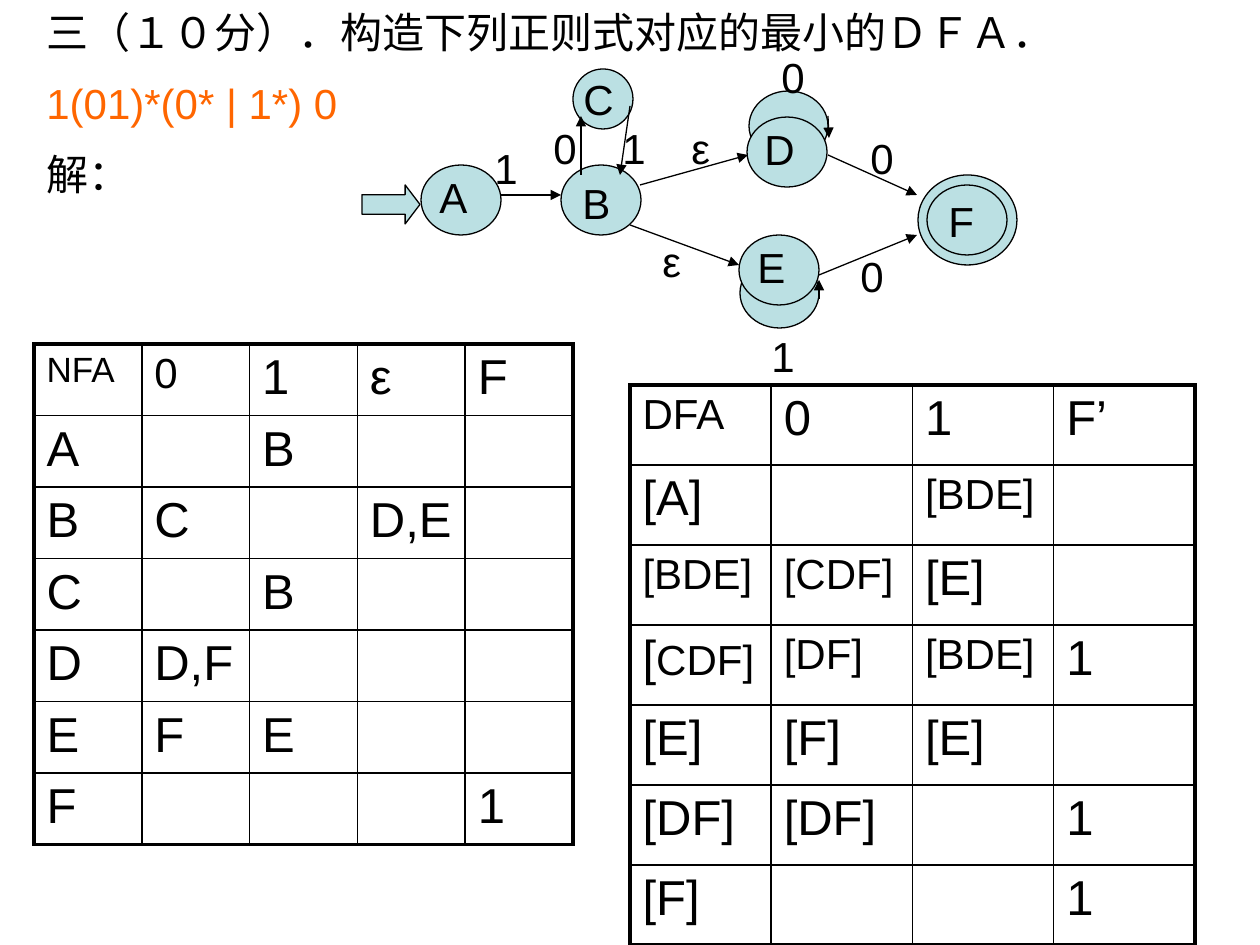
"""Build a slide that turns a regular expression into an NFA graph and its NFA and DFA tables."""
from lxml import etree
from pptx import Presentation
from pptx.dml.color import RGBColor
from pptx.enum.shapes import MSO_CONNECTOR, MSO_SHAPE
from pptx.oxml.ns import qn
from pptx.util import Emu, Pt

OVAL = MSO_SHAPE.OVAL
RIGHT_ARROW = MSO_SHAPE.RIGHT_ARROW
STRAIGHT = MSO_CONNECTOR.STRAIGHT

PX_PER_INCH = 126
FONT = "Arial"
BLACK, ORANGE, PALE_BLUE = "000000", "FF6600", "BBE0E3"
THIN, THICK = 1, 2.25

HEADING = [
    ("三（１０分）．构造下列正则式对应的最小的ＤＦＡ．", BLACK),
    ("1(01)*(0* | 1*) 0", ORANGE),
    ("解：", BLACK),
]

# Each cell is a list of (text, size) runs, or a plain string at the table's size.
NFA = {
    "box": (34, 344, 539, 500),
    "rows": [
        [[("NFA", 20)], [("0", 24)], "1", "ε", "F"],
        ["A", "", "B", "", ""],
        ["B", "C", "", "D,E", ""],
        ["C", "", "B", "", ""],
        ["D", "D,F", "", "", ""],
        ["E", "F", "E", "", ""],
        ["F", "", "", "", "1"],
    ],
}
DFA = {
    "box": (630, 385, 565, 560),
    "rows": [
        [[("DFA", 24)], "0", "1", "F’"],
        ["[A]", "", [("[BDE]", 24)], ""],
        [[("[BDE]", 24)], [("[CDF]", 24)], "[E]", ""],
        [[("[", 28), ("CDF]", 24)], [("[DF]", 24)], [("[BDE]", 24)], "1"],
        ["[E]", "[F]", "[E]", ""],
        ["[DF]", "[DF]", "", "1"],
        ["[F]", "", "", "1"],
    ],
}

START_ARROW = (362, 185, 58, 39)
LOOPS = [(740, 258, 79, 70), (749, 91, 79, 70)]
STATES = [
    (421, 165, 80, 70),
    (561, 165, 80, 70),
    (573, 69, 60, 60),
    (747, 117, 80, 70),
    (739, 235, 80, 70),
    (918, 175, 99, 90),
    (927, 185, 80, 70),
]
STATE_NAMES = [
    ("A", 427, 165), ("B", 570, 171), ("C", 571, 67),
    ("D", 752, 117), ("E", 745, 235), ("F", 936, 189),
]
EDGE_LABELS = [
    ("1", 482, 136), ("1", 610, 116), ("0", 541, 116), ("ε", 679, 116), ("ε", 650, 229),
    ("1", 759, 324), ("0", 858, 126), ("0", 848, 244), ("0", 769, 45),
]
ARROWS_BELOW = [(461, 195, 561, 195)]
ARROWS_ABOVE = [
    (640, 185, 748, 155),
    (828, 116, 829, 138),
    (630, 106, 620, 175),
    (581, 175, 581, 116),
    (630, 225, 739, 265),
    (828, 155, 917, 195),
    (819, 275, 917, 235),
    (819, 299, 819, 280),
]


def px(length):
    return Emu(round(length * 914400 / PX_PER_INCH))


def color(value):
    return RGBColor.from_string(value)


def style_font(font, size, value=BLACK):
    font.name = FONT
    font.size = Pt(size)
    font.color.rgb = color(value)


def add_text(slide, box, lines, size=24):
    frame = slide.shapes.add_textbox(*map(px, box)).text_frame
    frame.word_wrap = True
    for index, (text, value) in enumerate(lines):
        paragraph = frame.add_paragraph() if index else frame.paragraphs[0]
        paragraph.text = text
        style_font(paragraph.font, size, value)
        if index:
            paragraph.space_before = Pt(size / 2)


def add_figure(slide, kind, box):
    shape = slide.shapes.add_shape(kind, *map(px, box))
    shape.shadow.inherit = False
    shape.fill.solid()
    shape.fill.fore_color.rgb = color(PALE_BLUE)
    shape.line.color.rgb = color(BLACK)
    shape.line.width = Pt(0.75)
    return shape


def add_arrow(slide, ends):
    connector = slide.shapes.add_connector(STRAIGHT, *map(px, ends))
    connector.line.color.rgb = color(BLACK)
    connector.line.width = Pt(0.75)
    etree.SubElement(connector.line._get_or_add_ln(), qn("a:tailEnd"), type="triangle")
    etree.SubElement(connector._element.spPr, qn("a:effectLst"))


def set_borders(cell, widths):
    properties = cell._tc.get_or_add_tcPr()
    for index, (side, width) in enumerate(widths.items()):
        line = etree.Element(qn(f"a:ln{side}"), w=str(Pt(width)))
        fill = etree.SubElement(line, qn("a:solidFill"))
        etree.SubElement(fill, qn("a:srgbClr"), val=BLACK)
        properties.insert(index, line)


def add_table(slide, box, rows, size=28):
    row_count, column_count = len(rows), len(rows[0])
    table = slide.shapes.add_table(row_count, column_count, *map(px, box)).table
    table.first_row = table.horz_banding = False
    for column in table.columns:
        column.width = px(box[2] / column_count)
    for row in table.rows:
        row.height = px(box[3] / row_count)
    for r, values in enumerate(rows):
        for c, value in enumerate(values):
            cell = table.cell(r, c)
            cell.fill.background()
            set_borders(cell, {
                "L": THIN if c else THICK,
                "R": THICK if c == column_count - 1 else THIN,
                "T": THIN if r else THICK,
                "B": THICK if r == row_count - 1 else THIN,
            })
            runs = [(value, size)] if isinstance(value, str) else value
            for text, run_size in runs:
                if text:
                    run = cell.text_frame.paragraphs[0].add_run()
                    run.text = text
                    style_font(run.font, run_size)


def main():
    presentation = Presentation()
    presentation.slide_width, presentation.slide_height = px(1260), px(945)
    slide = presentation.slides.add_slide(presentation.slide_layouts[6])

    add_text(slide, (34, 0, 1191, 214), HEADING)
    add_table(slide, **NFA)
    for ends in ARROWS_BELOW:
        add_arrow(slide, ends)
    add_figure(slide, RIGHT_ARROW, START_ARROW).adjustments[1] = 0.38
    for box in LOOPS + STATES:
        add_figure(slide, OVAL, box)
    for ends in ARROWS_ABOVE:
        add_arrow(slide, ends)
    for labels, width in ((STATE_NAMES, 70), (EDGE_LABELS, 50)):
        for text, left, top in labels:
            add_text(slide, (left, top, width, 63), [(text, BLACK)])
    add_table(slide, **DFA)
    presentation.save("out.pptx")


if __name__ == "__main__":
    main()
